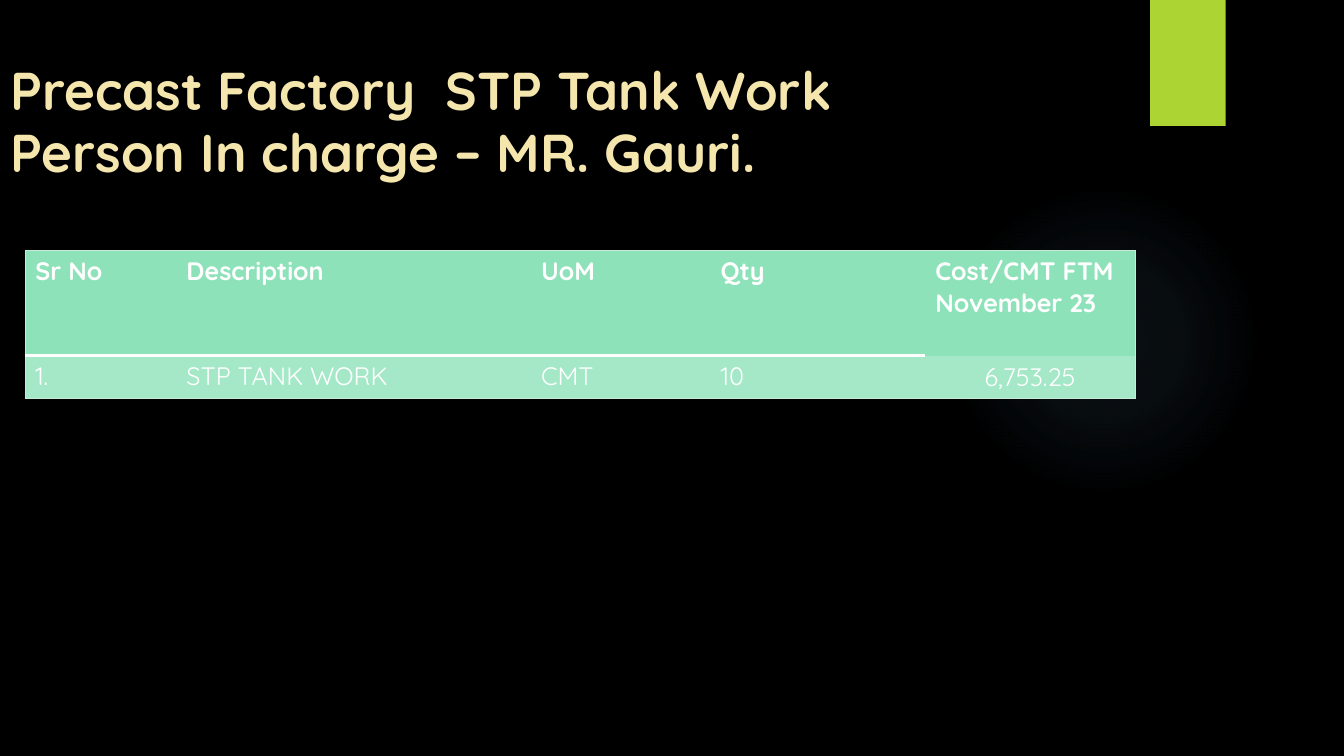
from pptx import Presentation
from pptx.util import Pt
from pptx.dml.color import RGBColor as RGB
from pptx.enum.shapes import MSO_SHAPE as Form
from pptx.enum.text import MSO_ANCHOR as Anchor, PP_ALIGN as Align, MSO_AUTO_SIZE as Fit
from pptx.oxml import parse_xml
from pptx.oxml.ns import nsdecls

HUES = {"back": "000000", "glow": "7AC4F0", "tab": "ACD433", "title": "F5E6AD",
        "head": "8EE2BA", "body": "A5E8C8", "edge": "C6ECD6", "text": "FFFFFF"}
FACE = "Quicksand"


def style(font, hue, **look):
    font.color.rgb = RGB.from_string(HUES[hue])
    for key, val in {"name": FACE, **look}.items():
        setattr(font, key, val)


def rule(cell, side, line):
    if line:
        hue, size = line
        fill = f'<a:solidFill><a:srgbClr val="{HUES[hue]}"/></a:solidFill>'
    else:
        fill, size = "<a:noFill/>", 0
    cell._tc.get_or_add_tcPr().append(parse_xml(
        f'<a:ln{side} {nsdecls("a")} w="{Pt(size)}">{fill}</a:ln{side}>'))


deck = Presentation()
deck.slide_width, deck.slide_height = Pt(960), Pt(540)
slide = deck.slides.add_slide(deck.slide_layouts[5])
slide.background.fill.solid()
slide.background.fill.fore_color.rgb = RGB.from_string(HUES["back"])

glow = slide.shapes.add_shape(Form.OVAL, Pt(677.5), Pt(131.8), Pt(221.8), Pt(221.8))
tab = slide.shapes.add_shape(Form.RECTANGLE, Pt(821.5), Pt(0), Pt(54), Pt(90))
for shape in (glow, tab):
    shape.shadow.inherit = False
    shape.line.fill.background()
tab.fill.solid()
tab.fill.fore_color.rgb = RGB.from_string(HUES["tab"])

stops = "".join(
    f'<a:gs pos="{pos * 1000}"><a:srgbClr val="{HUES["glow"]}">'
    f'<a:alpha val="{alpha * 1000}"/></a:srgbClr></a:gs>'
    for pos, alpha in ((0, 7), (36, 6), (69, 0), (100, 0)))
glow._element.spPr.find("{*}prstGeom").addnext(parse_xml(
    f'<a:gradFill {nsdecls("a")}><a:gsLst>{stops}</a:gsLst><a:path path="circle">'
    '<a:fillToRect l="50000" t="50000" r="50000" b="50000"/></a:path></a:gradFill>'))

title = slide.shapes.title
for key, val in {"left": 0, "top": 7.2, "width": 766.8, "height": 128.2}.items():
    setattr(title, key, Pt(val))
frame = title.text_frame
frame.text = "Precast Factory  STP Tank Work\vPerson In charge – MR. Gauri."
for key, val in {"word_wrap": True, "auto_size": Fit.NONE,
                 "vertical_anchor": Anchor.BOTTOM}.items():
    setattr(frame, key, val)
para = frame.paragraphs[0]
para.alignment = Align.LEFT
para.line_spacing = 0.96
for run in para.runs:
    style(run.font, "title", size=Pt(38), bold=True)

ROWS = (("Sr No", "Description", "UoM", "Qty", "Cost/CMT FTM November 23"),
        ("1.", "STP TANK WORK", "CMT", "10", "6,753.25"))
WIDTHS = (108, 253.4, 128.2, 153.4, 149.8)
HEIGHTS = (75, 30.5)
LAST = len(WIDTHS) - 1
EDGE, BAR = ("edge", 0.75), ("text", 2.25)

table = slide.shapes.add_table(len(ROWS), len(WIDTHS), Pt(18), Pt(179),
                               Pt(sum(WIDTHS)), Pt(sum(HEIGHTS))).table
table.horz_banding = False
for col, width in zip(table.columns, WIDTHS):
    col.width = Pt(width)
for r, (words, height) in enumerate(zip(ROWS, HEIGHTS)):
    table.rows[r].height = Pt(height)
    for c, word in enumerate(words):
        cell = table.cell(r, c)
        bar = BAR if c < LAST else None
        rule(cell, "L", EDGE if c == 0 else None)
        rule(cell, "R", EDGE if c == LAST else None)
        rule(cell, "T", EDGE if r == 0 else bar)
        rule(cell, "B", bar if r == 0 else EDGE)
        cell.fill.solid()
        cell.fill.fore_color.rgb = RGB.from_string(HUES["body" if r else "head"])
        cell.text = word
        style(cell.text_frame.paragraphs[0].runs[0].font, "text",
              size=Pt(18), bold=r == 0)

cost = table.cell(1, LAST)
cost.vertical_anchor = Anchor.MIDDLE
cost.text_frame.paragraphs[0].alignment = Align.CENTER
for side in ("left", "right", "top", "bottom"):
    setattr(cost, f"margin_{side}", Pt(0.7))

deck.save("out.pptx")
